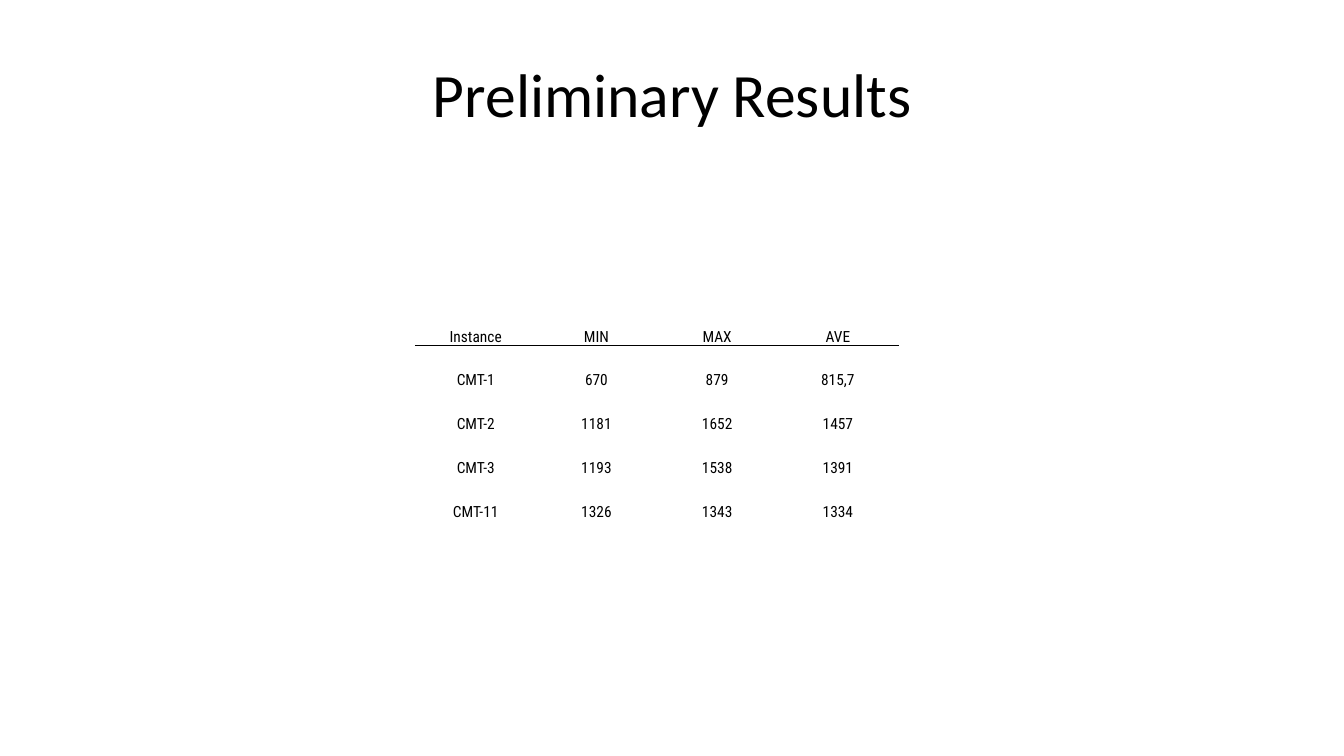
from lxml import etree
from pptx import Presentation
from pptx import util as u
from pptx.dml.color import RGBColor
from pptx.enum import text
from pptx.oxml import ns

COLORS = {"ink": "000000", "paper": "FFFFFF"}
ROWS = [
    ("Instance", "MIN", "MAX", "AVE"),
    ("CMT-1", "670", "879", "815,7"),
    ("CMT-2", "1181", "1652", "1457"),
    ("CMT-3", "1193", "1538", "1391"),
    ("CMT-11", "1326", "1343", "1334"),
]
CELL_FORMAT = {
    "vertical_anchor": text.MSO_ANCHOR.BOTTOM,
    "margin_left": u.Inches(0.01),
    "margin_right": u.Inches(0.01),
    "margin_top": u.Inches(0.01),
    "margin_bottom": 0,
}


def write(tf, words, font, size):
    p = tf.paragraphs[0]
    p.alignment = text.PP_ALIGN.CENTER
    r = p.add_run()
    r.text = words
    for name, value in {"name": font, "size": u.Pt(size), "bold": False}.items():
        setattr(r.font, name, value)
    r.font.color.rgb = RGBColor.from_string(COLORS["ink"])


def add_border(cell, side):
    ln = etree.Element(ns.qn(f"a:{side}"), w=str(u.Pt(1)))
    fill = etree.SubElement(ln, ns.qn("a:solidFill"))
    etree.SubElement(fill, ns.qn("a:srgbClr"), val=COLORS["ink"])
    cell._tc.get_or_add_tcPr().insert(0, ln)


prs = Presentation()
prs.slide_width, prs.slide_height = u.Inches(13.33), u.Inches(7.5)
s = prs.slides.add_slide(prs.slide_layouts[5])
s.background.fill.solid()
s.background.fill.fore_color.rgb = RGBColor.from_string(COLORS["paper"])

# Title
title = s.shapes.title
title.left, title.top = u.Inches(0.67), u.Inches(0.3)
title.width, title.height = u.Inches(12), u.Inches(1.25)
title.text_frame.vertical_anchor = text.MSO_ANCHOR.MIDDLE
write(title.text_frame, "Preliminary Results", "Calibri", 44)

# Results table, with a taller header row
frame = s.shapes.add_table(len(ROWS), len(ROWS[0]), u.Inches(4.12), u.Inches(2.9),
                           u.Inches(4.79), u.Inches(2.27))
table = frame.table
table.first_row = table.horz_banding = False
for i, row in enumerate(ROWS):
    table.rows[i].height = u.Inches(0.53 if i == 0 else 0.435)
    for j, words in enumerate(row):
        cell = table.cell(i, j)
        for name, value in CELL_FORMAT.items():
            setattr(cell, name, value)
        cell.fill.background()
        write(cell.text_frame, words, "Roboto Condensed", 11)
        # Rule between the header and the values
        if i < 2:
            add_border(cell, "lnB" if i == 0 else "lnT")

prs.save("out.pptx")
